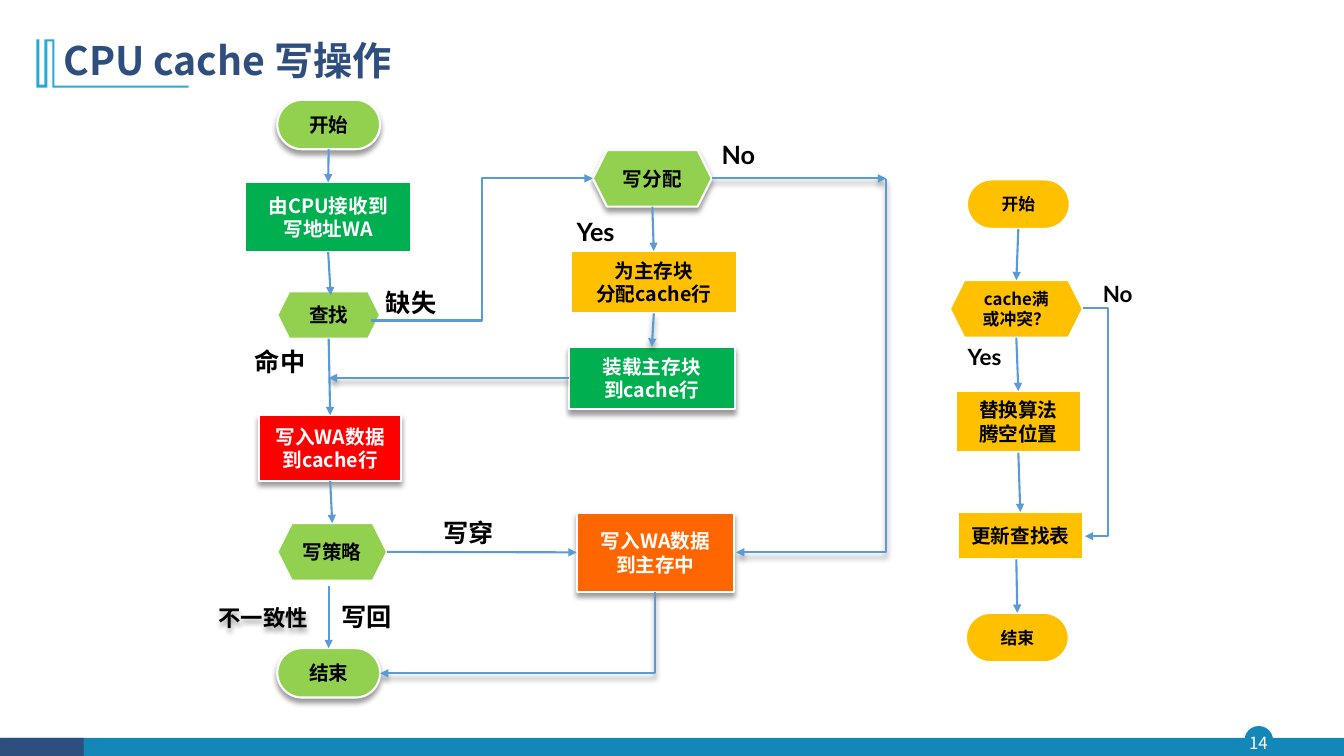
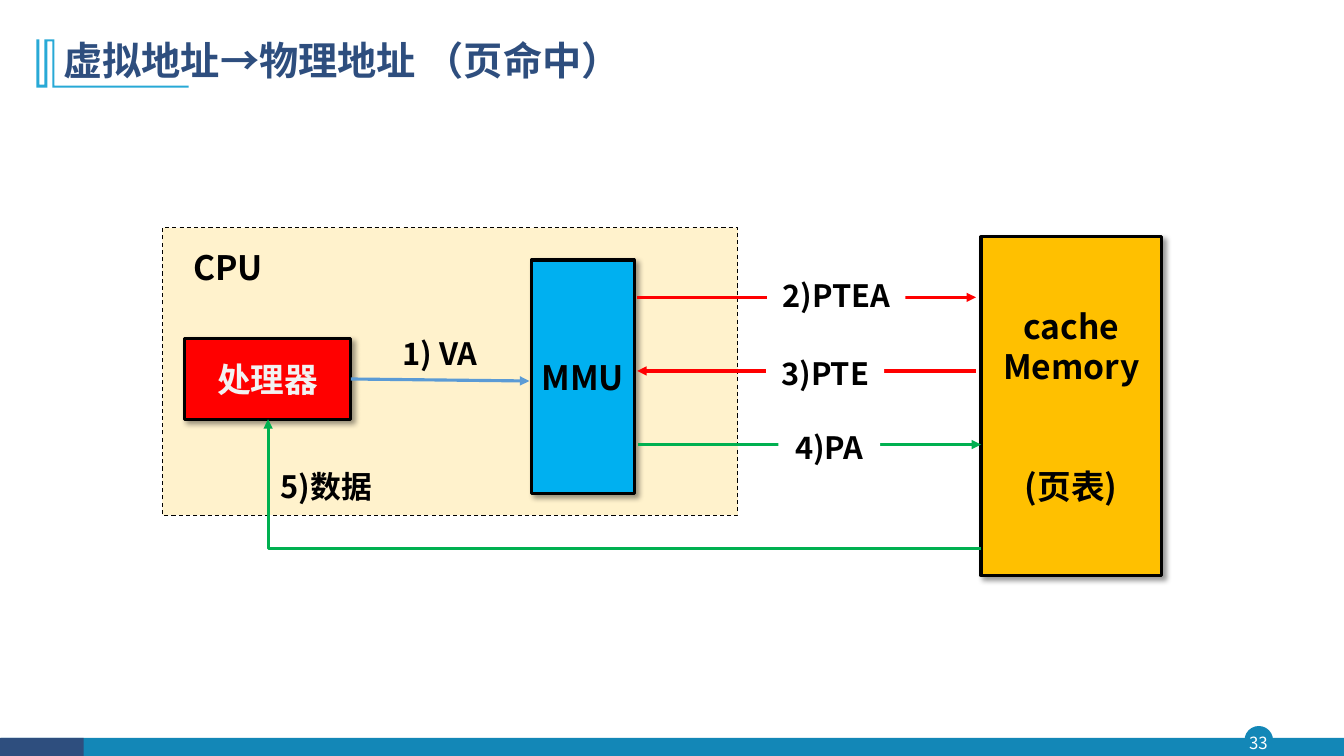
from pptx import Presentation
from pptx.dml.color import RGBColor
from pptx.enum.dml import MSO_LINE
from pptx.enum.shapes import MSO_CONNECTOR as Link, MSO_SHAPE as Kind
from pptx.enum.text import MSO_ANCHOR as Anchor, PP_ALIGN as Align
from pptx.oxml import parse_xml
from pptx.oxml.ns import qn
from pptx.util import Inches, Pt
from lxml.etree import SubElement

HUE = {
    "navy": "2E4E7E", "teal": "1387B7", "sky": "28A9D6", "blue": "5B9BD5",
    "lime": "92D050", "green": "00B050", "gold": "FFC000", "red": "FF0000",
    "orange": "FF6600", "cream": "FFF2CC", "cyan": "00B0F0",
    "white": "FFFFFF", "pale": "F2F2F2", "black": "000000",
}
HAN, LATIN = "Noto Sans CJK SC", "Lato"
NEAR = Inches(0.03)
KINDS = {"rect": Kind.RECTANGLE, "pill": Kind.ROUNDED_RECTANGLE, "hex": Kind.HEXAGON}
MARK = [(0.54, 0.39), (0.54, 0.85), (1.87, 0.85), (1.87, 0.87), (0.52, 0.87),
        (0.52, 0.41), (0.47, 0.41), (0.47, 0.87), (0.36, 0.87), (0.36, 0.39),
        (0.39, 0.39), (0.39, 0.84), (0.44, 0.84), (0.44, 0.39)]

FLOW = {
    "title": "CPU cache 写操作",
    "page": "14",
    "look": dict(line="white", weight=1.5, size=14),
    "angle": 90,
    "boxes": [
        ("pill", (2.75, 0.99, 1.02, 0.49), "开始", "lime", dict(shade=True)),
        ("rect", (2.43, 1.81, 1.65, 0.69), "由CPU接收到\n写地址WA", "green", dict(color="white")),
        ("hex", (2.75, 2.89, 1.02, 0.47), "查找", "lime", {}),
        ("rect", (2.57, 4.12, 1.41, 0.65), "写入WA数据\n到cache行", "red", dict(color="white", shade=True)),
        ("hex", (2.75, 5.19, 1.09, 0.57), "写策略", "lime", {}),
        ("pill", (2.75, 6.43, 1.02, 0.49), "结束", "lime", dict(shade=True)),
        ("hex", (5.88, 1.49, 1.18, 0.56), "写分配", "lime", dict(shade=True)),
        ("rect", (5.66, 2.49, 1.65, 0.62), "为主存块\n分配cache行", "gold", {}),
        ("rect", (5.64, 3.44, 1.65, 0.62), "装载主存块\n到cache行", "green", dict(color="white", shade=True)),
        ("rect", (5.72, 5.09, 1.56, 0.78), "写入WA数据\n到主存中", "orange", dict(color="white", shade=True)),
        ("pill", (9.59, 1.78, 1.02, 0.49), "开始", "gold", dict(size=12)),
        ("hex", (9.42, 2.78, 1.32, 0.57), "cache满\n或冲突？", "gold", dict(size=12)),
        ("rect", (9.48, 3.88, 1.24, 0.61), "替换算法\n腾空位置", "gold", {}),
        ("rect", (9.5, 5.08, 1.24, 0.47), "更新查找表", "gold", {}),
        ("pill", (9.58, 6.08, 1.02, 0.49), "结束", "gold", dict(size=12)),
    ],
    "lines": [
        ((3.26, 1.48), (3.26, 1.81), {}),
        ((3.28, 2.5), (3.28, 2.93), {}),
        ((3.26, 3.36), (3.26, 4.12), {}),
        ((3.28, 4.77), (3.28, 5.22), {}),
        ((3.26, 5.81), (3.26, 6.43), {}),
        ((3.83, 5.48), (5.72, 5.48), {}),
        ((6.49, 2.05), (6.49, 2.49), {}),
        ((6.49, 3.12), (6.47, 3.44), dict(shade=True)),
        ((5.64, 3.75), (3.26, 3.75), dict(shade=True)),
        ((7.06, 1.77), (8.79, 1.77), dict(shade=True)),
        ((3.68, 3.18), (5.88, 1.77), dict(bend=3)),
        ((7.3, 5.48), (8.79, 1.78), dict(bend=2, back=True, shade=True)),
        ((3.77, 6.68), (6.5, 5.87), dict(bend=2, back=True, shade=True)),
        ((10.1, 2.27), (10.1, 2.76), {}),
        ((10.08, 3.35), (10.1, 3.88), {}),
        ((10.1, 4.5), (10.1, 5.07), {}),
        ((10.08, 5.55), (10.08, 6.07), {}),
        ((10.74, 3.06), (10.76, 5.32), dict(bend=3, turn=12.5)),
    ],
    "notes": dict(size=18, align=Align.LEFT),
    "labels": [
        ((3.73, 2.8, 0.81, 0.4), "缺失", {}),
        ((2.43, 3.39, 0.8, 0.4), "命中", {}),
        ((4.3, 5.08, 0.77, 0.4), "写穿", {}),
        ((3.29, 5.92, 0.85, 0.4), "写回", {}),
        ((2.07, 5.94, 1.36, 0.37), "不一致性", dict(size=16, shade=True)),
        ((7.06, 1.33, 1.2, 0.4), "No", dict(font=LATIN)),
        ((5.62, 2.1, 0.81, 0.4), "Yes", dict(font=LATIN)),
        ((10.84, 2.73, 0.63, 0.37), "No", dict(size=16, font=LATIN)),
        ((9.5, 3.36, 0.63, 0.37), "Yes", dict(size=16, font=LATIN)),
    ],
}

MAP = {
    "title": "虚拟地址→物理地址 （页命中）",
    "page": "33",
    "look": dict(line="black", weight=2.25, size=24, inset=0),
    "angle": 45,
    "boxes": [
        ("rect", (1.61, 2.26, 5.71, 2.85), "", "cream", dict(weight=0.75, dash=True)),
        ("rect", (9.73, 2.35, 1.79, 3.36), "cache\nMemory\n(页表)", "gold", dict(shade=True, gaps={2: 57})),
        ("rect", (1.83, 3.36, 1.65, 0.8), "处理器", "red", dict(color="pale", shade=True)),
        ("rect", (5.27, 2.58, 1.02, 2.32), "MMU", "cyan", dict(shade=True)),
    ],
    "lines": [
        ((3.48, 3.78), (5.25, 3.78), dict(weight=2.25)),
        ((6.32, 2.95), (9.68, 2.95), dict(weight=2.25, color="red")),
        ((9.68, 3.68), (6.32, 3.68), dict(weight=2.25, color="red")),
        ((6.33, 4.41), (9.73, 4.41), dict(weight=2.25, color="green")),
        ((9.73, 5.44), (2.66, 4.16), dict(weight=2.25, color="green", bend=2)),
    ],
    "notes": dict(size=22, inset=0),
    "labels": [
        ((1.75, 2.45, 1.02, 0.46), "CPU", dict(size=24)),
        ((3.86, 3.32, 1.01, 0.61), "1) VA", {}),
        ((7.61, 2.75, 1.37, 0.4), "2)PTEA", dict(fill="white")),
        ((7.6, 3.52, 1.17, 0.42), "3)PTE", dict(fill="white")),
        ((7.72, 4.25, 1.01, 0.43), "4)PA", dict(fill="white")),
        ((2.73, 4.64, 1.01, 0.43), "5)数据", {}),
    ],
}


def rgb(name):
    return RGBColor.from_string(HUE[name])


def spot(box):
    return [Inches(v) for v in box]


def write(shape, text, size=14, color="black", font=HAN, bold=True,
          align=Align.CENTER, anchor=Anchor.MIDDLE, inset=None, wrap=False,
          pitch=None, gaps=None):
    frame = shape.text_frame
    frame.word_wrap = wrap
    frame.vertical_anchor = anchor
    if inset is not None:
        frame.margin_left = frame.margin_right = Inches(inset)
        frame.margin_top = frame.margin_bottom = Inches(inset)
    for n, words in enumerate(text.split("\n")):
        para = frame.add_paragraph() if n else frame.paragraphs[0]
        para.alignment = align
        if pitch:
            para.line_spacing = pitch
        if gaps and n in gaps:
            para.space_before = Pt(gaps[n])
        run = para.add_run()
        run.text = words
        run.font.size, run.font.bold, run.font.name = Pt(size), bold, font
        run.font.color.rgb = rgb(color)
        SubElement(run.font._element, qn("a:ea")).set("typeface", font)


def shadow(shape, angle):
    props = shape.element.spPr
    effect = props.find(qn("a:effectLst"))
    if effect is None:
        effect = SubElement(props, qn("a:effectLst"))
    if angle is not None:
        effect.append(parse_xml(
            '<a:outerShdw xmlns:a="http://schemas.openxmlformats.org/drawingml/2006/main" '
            f'blurRad="{Pt(4)}" dist="{Pt(3)}" dir="{angle * 60000}" algn="ctr" rotWithShape="0">'
            f'<a:srgbClr val="{HUE["black"]}"><a:alpha val="40000"/></a:srgbClr></a:outerShdw>'))


def paint(shape, fill, line=None, weight=1, dash=False):
    shape.shadow.inherit = False
    shape.fill.solid()
    shape.fill.fore_color.rgb = rgb(fill)
    if line:
        shape.line.color.rgb = rgb(line)
        shape.line.width = Pt(weight)
        if dash:
            shape.line.dash_style = MSO_LINE.DASH
    else:
        shape.line.fill.background()
    return shape


def block(slide, kind, box, text, fill, angle, line, weight, dash=False, shade=False, **style):
    shape = slide.shapes.add_shape(KINDS[kind], *spot(box))
    if kind == "pill":
        shape.adjustments[0] = 0.5
    paint(shape, fill, line, weight, dash)
    if shade:
        shadow(shape, angle)
    if text:
        write(shape, text, **style)
    return shape


def join(connect, point, boxes):
    x, y = spot(point)
    for box in boxes:
        midx, midy = box.left + box.width // 2, box.top + box.height // 2
        sides = [(midx, box.top), (box.left, midy),
                 (midx, box.top + box.height), (box.left + box.width, midy)]
        for n, (sx, sy) in enumerate(sides):
            if abs(sx - x) <= NEAR and abs(sy - y) <= NEAR:
                connect(box, n)
                return


def arrow(slide, start, end, boxes, angle, color="blue", weight=1.5, bend=0,
          turn=0.5, back=False, shade=False):
    link = slide.shapes.add_connector(Link.ELBOW if bend else Link.STRAIGHT, *spot(start + end))
    link.line.color.rgb = rgb(color)
    link.line.width = Pt(weight)
    props = link.element.spPr
    tip = SubElement(props.find(qn("a:ln")), qn("a:headEnd" if back else "a:tailEnd"))
    tip.set("type", "triangle")
    shadow(link, angle if shade else None)
    if bend:
        shape = props.find(qn("a:prstGeom"))
        shape.set("prst", f"bentConnector{bend}")
        if bend == 3:
            guide = SubElement(shape.find(qn("a:avLst")), qn("a:gd"))
            guide.set("name", "adj1")
            guide.set("fmla", f"val {round(turn * 100000)}")
    else:
        join(link.begin_connect, start, boxes)
        join(link.end_connect, end, boxes)


def label(slide, box, text, angle=90, fill=None, shade=False, **style):
    shape = slide.shapes.add_textbox(*spot(box))
    if fill:
        paint(shape, fill)
    if shade:
        shadow(shape, angle)
    write(shape, text, **{"anchor": Anchor.TOP, "wrap": True, **style})


def dress(layout, slide):
    title = layout.placeholders[0]
    title.left, title.top, title.width, title.height = spot((0.53, 0.28, 11.5, 0.68))
    add = slide.shapes.add_shape
    parts = [
        paint(add(Kind.OVAL, *spot((12.35, 7.21, 0.27, 0.27))), "teal", "teal"),
        paint(add(Kind.RECTANGLE, *spot((0.01, 7.32, 13.32, 0.19))), "teal"),
        paint(add(Kind.RECTANGLE, *spot((0, 7.32, 0.83, 0.19))), "navy"),
    ]
    pen = slide.shapes.build_freeform(*spot(MARK[0]))
    pen.add_line_segments([spot(p) for p in MARK[1:]], close=True)
    parts.append(paint(pen.convert_to_shape(), "sky"))
    for part in parts:
        layout.shapes.element.append(part.element)


def build(slide, plan):
    write(slide.shapes.title, plan["title"], size=28, color="navy",
          align=Align.LEFT, wrap=True, pitch=0.9)
    label(slide, (12.32, 7.21, 0.32, 0.31), plan["page"], size=12, color="white",
          bold=False, anchor=Anchor.MIDDLE, inset=0)
    angle = plan["angle"]
    boxes = [block(slide, kind, box, text, fill, angle, **{**plan["look"], **style})
             for kind, box, text, fill, style in plan["boxes"]]
    for start, end, style in plan["lines"]:
        arrow(slide, start, end, boxes, angle, **style)
    for box, text, style in plan["labels"]:
        label(slide, box, text, **{**plan["notes"], **style})


def main():
    deck = Presentation()
    deck.slide_width, deck.slide_height = Inches(13.33), Inches(7.5)
    layout = deck.slide_layouts[5]
    slides = [deck.slides.add_slide(layout) for _ in range(2)]
    dress(layout, slides[0])
    for slide, plan in zip(slides, (FLOW, MAP)):
        build(slide, plan)
    deck.save("out.pptx")


if __name__ == "__main__":
    main()
